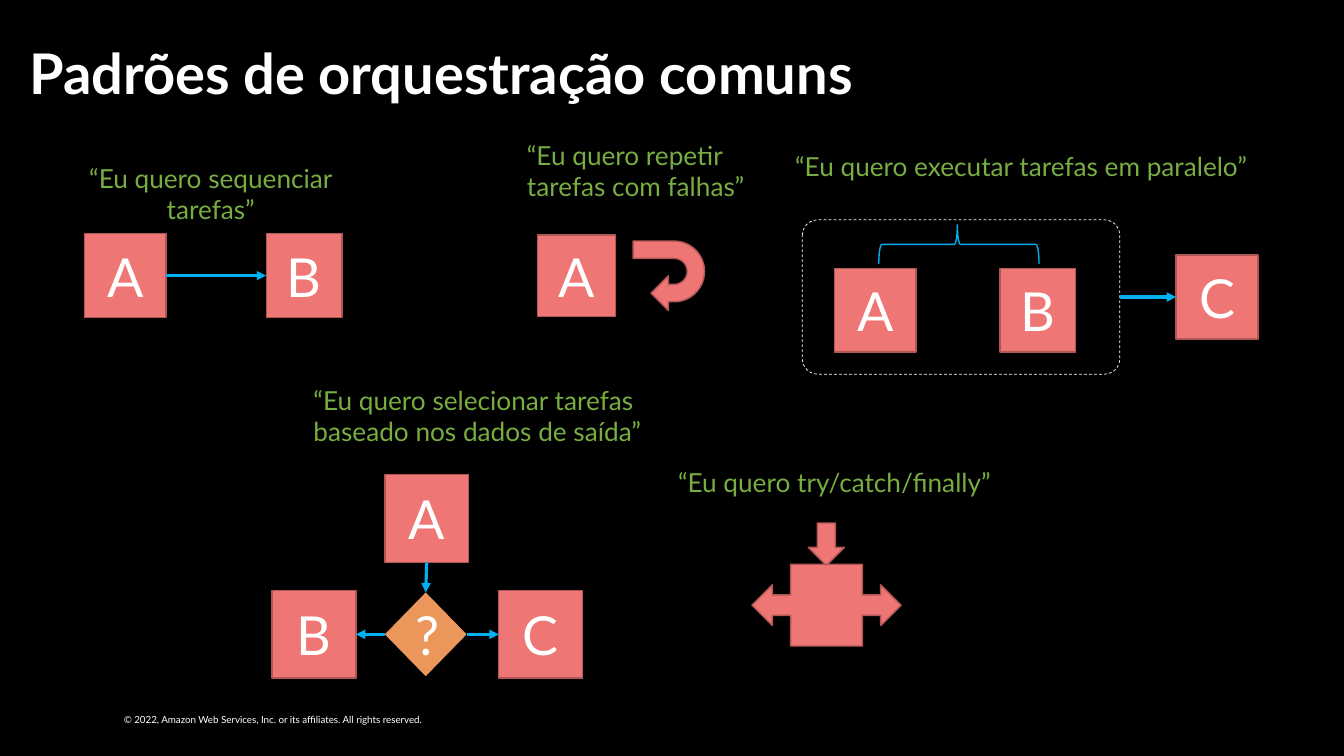
from dataclasses import dataclass

from pptx import Presentation
from pptx import util as u
from pptx.dml.color import RGBColor
from pptx.enum import dml, shapes, text
from pptx.oxml import xmlchemy as xml

TOP, LEFT, BOTTOM, RIGHT = range(4)
SHAPE = shapes.MSO_SHAPE


@dataclass(frozen=True)
class Theme:
    font: str = "Lato"
    background: str = "000000"
    white: str = "FFFFFF"
    quote: str = "77AD41"
    task: str = "EE7674"
    task_line: str = "B05756"
    choice: str = "EB975C"
    flow: str = "00B0F0"
    title_size: float = 40
    task_size: float = 38.4
    quote_size: float = 18.7
    footer_size: float = 7


@dataclass(frozen=True)
class Box:
    """A region in centimetres; inner boxes are given relative to its corner."""
    left: float
    top: float
    width: float
    height: float

    def inner(self, left, top, width, height):
        return Box(self.left + left, self.top + top, width, height)

    def lengths(self):
        return [u.Cm(value) for value in (self.left, self.top, self.width, self.height)]


THEME = Theme()


def apply_formats(target, formats):
    for name, value in formats.items():
        setattr(target, name, value)


def write(shape, words, size, color=THEME.white, bold=False,
          align=text.PP_ALIGN.LEFT, insets=(0.25, 0.13), anchor=text.MSO_ANCHOR.TOP):
    frame = shape.text_frame
    frame.text = words
    side, edge = (u.Cm(inset) for inset in insets)
    apply_formats(frame, {
        "word_wrap": True, "auto_size": text.MSO_AUTO_SIZE.NONE, "vertical_anchor": anchor,
        "margin_left": side, "margin_right": side, "margin_top": edge, "margin_bottom": edge,
    })
    paragraph = frame.paragraphs[0]
    paragraph.alignment = align
    apply_formats(paragraph.font, {"name": THEME.font, "size": u.Pt(size), "bold": bold})
    paragraph.font.color.rgb = RGBColor.from_string(color)
    return paragraph


def add_quote(slide, box, words, **formats):
    label = slide.shapes.add_textbox(*box.lengths())
    write(label, words, THEME.quote_size, THEME.quote, **formats)


def add_figure(slide, kind, box, fill=THEME.task, line=THEME.task_line, weight=1,
               rotation=0, adjustments=()):
    shape = slide.shapes.add_shape(kind, *box.lengths())
    shape.shadow.inherit = False
    shape.rotation = rotation
    for index, value in enumerate(adjustments):
        shape.adjustments[index] = value
    for target, color in ((shape.fill, fill), (shape.line.fill, line)):
        if color:
            target.solid()
            target.fore_color.rgb = RGBColor.from_string(color)
        else:
            target.background()
    if line:
        shape.line.width = u.Pt(weight)
    return shape


def add_task(slide, box, letter, kind=SHAPE.RECTANGLE, **formats):
    shape = add_figure(slide, kind, box, **formats)
    write(shape, letter, THEME.task_size, align=text.PP_ALIGN.CENTER,
          anchor=text.MSO_ANCHOR.MIDDLE)
    return shape


def add_arrow(slide, start, start_side, end, end_side):
    arrow = slide.shapes.add_connector(shapes.MSO_CONNECTOR.STRAIGHT, 0, 0, 0, 0)
    arrow.begin_connect(start, start_side)
    arrow.end_connect(end, end_side)
    arrow.line.color.rgb = RGBColor.from_string(THEME.flow)
    arrow.line.width = u.Pt(2.25)
    head = xml.OxmlElement("a:tailEnd")
    head.set("type", "triangle")
    arrow.line._get_or_add_ln().append(head)
    arrow._element.spPr.append(xml.OxmlElement("a:effectLst"))


def add_title(slide, box):
    title = slide.shapes.title
    title.left, title.top, title.width, title.height = box.lengths()
    paragraph = write(title, "Padrões de orquestração comuns", THEME.title_size, bold=True,
                      insets=(0, 0.13), anchor=text.MSO_ANCHOR.MIDDLE)
    paragraph.line_spacing = 0.9


def add_footer(slide, box):
    footer = slide.shapes.add_textbox(*box.lengths())
    write(footer, "© 2022, Amazon Web Services, Inc. or its affiliates. All rights reserved.",
          THEME.footer_size, insets=(0, 0))


def add_sequence(slide, box):
    add_quote(slide, box.inner(0, 0, box.width, 1.93), "“Eu quero sequenciar tarefas”",
              align=text.PP_ALIGN.CENTER)
    first = add_task(slide, box.inner(1.19, 1.93, 2.06, 2.11), "A")
    second = add_task(slide, box.inner(5.77, 1.93, 1.91, 2.11), "B")
    add_arrow(slide, first, RIGHT, second, LEFT)


def add_retry(slide, box):
    add_quote(slide, box.inner(0, 0, box.width, 2.18), "“Eu quero repetir tarefas com falhas”",
              insets=(0.33, 0.18))
    add_task(slide, box.inner(0.59, 2.59, 1.98, 2.06), "A")
    add_figure(slide, SHAPE.U_TURN_ARROW, box.inner(3.03, 2.72, 1.75, 1.8), rotation=90)


def add_parallel(slide, box):
    add_quote(slide, box.inner(0, 0, box.width, 1.35), "“Eu quero executar tarefas em paralelo”")
    for letter, left, width in (("A", 1.24, 2.06), ("B", 5.41, 1.91)):
        add_task(slide, box.inner(left, 3.1, width, 2.11), letter)
    final = add_task(slide, box.inner(9.85, 2.77, 2.06, 2.11), "C")
    frame = add_figure(slide, SHAPE.ROUNDED_RECTANGLE, box.inner(0.43, 1.88, 8, 3.89), fill=None,
                       line=THEME.white, weight=0.5, adjustments=[0.1])
    frame.line.dash_style = dml.MSO_LINE.DASH
    add_arrow(slide, frame, RIGHT, final, LEFT)
    add_figure(slide, SHAPE.LEFT_BRACE, box.inner(3.88, 0.48, 0.99, 4.04), fill=None,
               line=THEME.flow, rotation=90, adjustments=[0.08, 0.51])


def add_choice(slide, box):
    add_quote(slide, box.inner(0.79, 0, 9.4, 2.11),
              "“Eu quero selecionar tarefas baseado nos dados de saída”")
    places = {"B": (0, 5.33), "C": (5.71, 5.33), "A": (2.84, 2.41)}
    tasks = {letter: add_task(slide, box.inner(*place, 2.11, 2.21), letter)
             for letter, place in places.items()}
    question = add_task(slide, box.inner(2.84, 5.38, 2.06, 2.11), "?", SHAPE.DIAMOND,
                        fill=THEME.choice, line=None)
    add_arrow(slide, question, RIGHT, tasks["C"], LEFT)
    add_arrow(slide, tasks["A"], BOTTOM, question, TOP)
    add_arrow(slide, question, LEFT, tasks["B"], RIGHT)


def add_try_catch(slide, box):
    add_quote(slide, box.inner(0, 0, box.width, 2.26), "“Eu quero try/catch/finally”",
              align=text.PP_ALIGN.CENTER, insets=(0.33, 0.18))
    add_figure(slide, SHAPE.LEFT_RIGHT_ARROW_CALLOUT, box.inner(2.62, 2.66, 3.76, 2.06))
    add_figure(slide, SHAPE.DOWN_ARROW, box.inner(4.04, 1.62, 0.91, 1.07))


def main():
    presentation = Presentation()
    presentation.slide_width, presentation.slide_height = u.Cm(33.87), u.Cm(19.05)
    slide = presentation.slides.add_slide(presentation.slide_layouts[5])
    slide.background.fill.solid()
    slide.background.fill.fore_color.rgb = RGBColor.from_string(THEME.background)
    add_footer(slide, Box(3.12, 17.98, 11, 0.3))
    add_title(slide, Box(0.74, 1.04, 32.39, 1.78))
    add_try_catch(slide, Box(16.33, 11.56, 9.4, 4.72))
    add_choice(slide, Box(6.86, 9.55, 10.19, 7.54))
    add_retry(slide, Box(12.95, 3.33, 6.81, 4.65))
    add_sequence(slide, Box(0.94, 3.96, 8.74, 4.04))
    add_parallel(slide, Box(19.79, 3.66, 12.52, 5.77))
    presentation.save("out.pptx")


if __name__ == "__main__":
    main()
